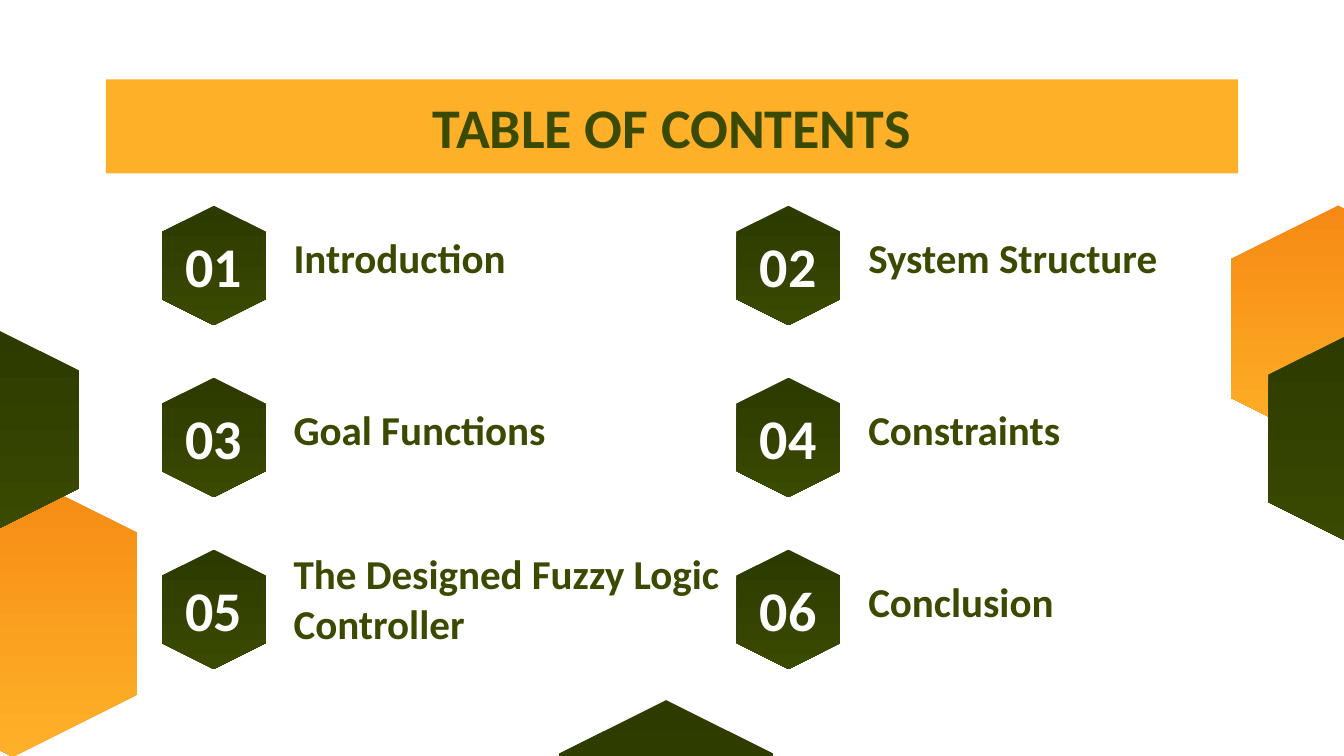
from pptx import Presentation
from pptx.dml.color import RGBColor
from pptx.enum.shapes import MSO_SHAPE
from pptx.enum.text import MSO_ANCHOR, MSO_AUTO_SIZE, PP_ALIGN
from pptx.util import Cm, Pt

HEXAGON = MSO_SHAPE.HEXAGON
MIDDLE, BOTTOM = MSO_ANCHOR.MIDDLE, MSO_ANCHOR.BOTTOM
LEFT, CENTER = PP_ALIGN.LEFT, PP_ALIGN.CENTER
NO_FIT = MSO_AUTO_SIZE.NONE

FONT = "Calibri"
AMBER, OLIVE, WHITE = "FEB128", "3A4A01", "FFFFFF"
ORANGE_FADE = ("F68A14", AMBER)
GREEN_FADE = ("2D3A00", OLIVE)
HEX_RATIO = 0.87
INSET = 0.25

DECOR = [
    (0.24, 11.6, 5.41, ORANGE_FADE),
    (12.59, 15.56, 4.65, GREEN_FADE),
    (25.29, 6.21, 4.65, ORANGE_FADE),
    (25.83, 8.29, 4.27, GREEN_FADE),
    (-0.22, 8.12, 3.94, GREEN_FADE),
]
TOPICS = [
    ("Introduction", 5.26, 1.12),
    ("System Structure", 7.24, 1.12),
    ("Goal Functions", 6.45, 1.12),
    ("Constraints", 4.72, 1.12),
    ("The Designed Fuzzy Logic Controller", 8.59, 1.93),
    ("Conclusion", 6.45, 1.12),
]


def rgb(color):
    """Turn a hex string into a colour."""
    return RGBColor.from_string(color)


def write(sp, text, size=22, color=OLIVE, align=LEFT, anchor=MIDDLE):
    """Put one formatted bold paragraph into a shape."""
    tf = sp.text_frame
    tf.word_wrap = True
    tf.auto_size = NO_FIT
    tf.vertical_anchor = anchor
    tf.margin_left = tf.margin_right = Cm(INSET)
    tf.margin_top = tf.margin_bottom = Cm(INSET)
    p = tf.paragraphs[0]
    p.alignment = align
    r = p.add_run()
    r.text = text
    r.font.name = FONT
    r.font.size = Pt(size)
    r.font.bold = True
    r.font.color.rgb = rgb(color)


def add_text(s, text, left, cy, width, height, **fmt):
    """Add a text box centred vertically on cy."""
    sp = s.shapes.add_textbox(Cm(left), Cm(cy - height / 2), Cm(width), Cm(height))
    write(sp, text, **fmt)


def add_hexagon(s, cx, cy, length, fade):
    """Add an upright hexagon with a vertical gradient, centred on a point."""
    width = length * HEX_RATIO
    sp = s.shapes.add_shape(HEXAGON, Cm(cx - length / 2), Cm(cy - width / 2), Cm(length), Cm(width))
    sp.rotation = 90
    sp.shadow.inherit = False
    sp.line.fill.background()
    sp.fill.gradient()
    sp.fill.gradient_angle = 0
    for stop, color in zip(sp.fill.gradient_stops, fade):
        stop.color.rgb = rgb(color)


def add_title(s, left, top, width, height):
    """Place the title placeholder as an amber band."""
    sp = s.shapes.title
    sp.left, sp.top, sp.width, sp.height = Cm(left), Cm(top), Cm(width), Cm(height)
    sp.fill.solid()
    sp.fill.fore_color.rgb = rgb(AMBER)
    write(sp, "TABLE OF CONTENTS", size=30, align=CENTER)


def add_contents(s, left, top, col_step, row_step):
    """Lay out the numbered topics in two columns from the first badge centre."""
    for i, (topic, width, height) in enumerate(TOPICS):
        row, col = divmod(i, 2)
        cx, cy = left + col * col_step, top + row * row_step
        add_hexagon(s, cx, cy, 2.26, GREEN_FADE)
        add_text(s, f"{i + 1:02d}", cx - 1.26, cy, 2.52, 1.47, size=30, color=WHITE, align=CENTER)
        add_text(s, topic, cx + 1.26, cy, width, height, anchor=BOTTOM)


def main():
    """Build and save the slide."""
    prs = Presentation()
    prs.slide_width, prs.slide_height = Cm(25.4), Cm(14.29)
    s = prs.slides.add_slide(prs.slide_layouts[5])
    for cx, cy, length, fade in DECOR:
        add_hexagon(s, cx, cy, length, fade)
    add_title(s, 2, 1.5, 21.4, 1.78)
    add_contents(s, 4.04, 5.02, 10.86, 3.25)
    prs.save("out.pptx")


if __name__ == "__main__":
    main()
